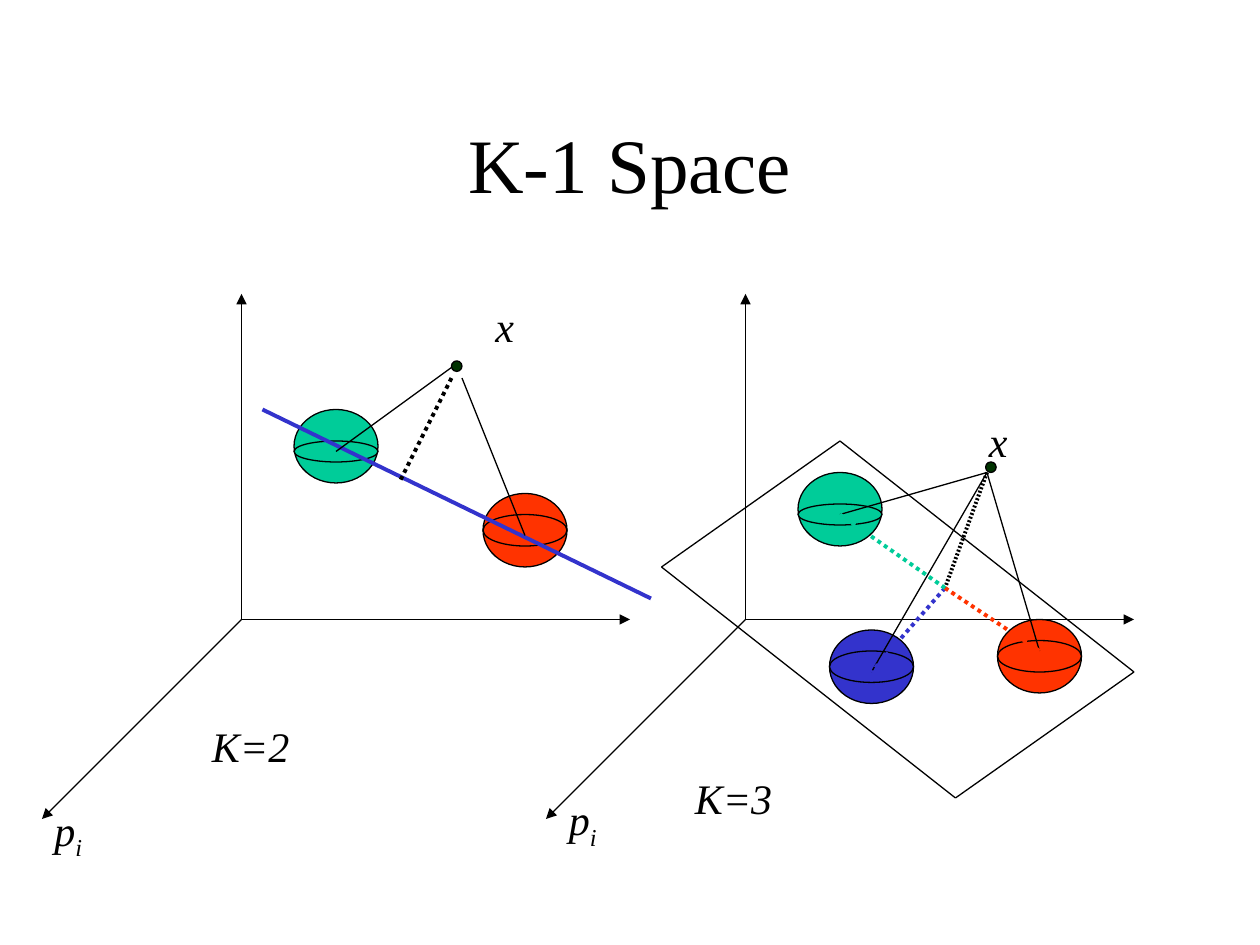
from lxml import etree
from pptx import Presentation
from pptx.dml.color import RGBColor
from pptx.enum.dml import MSO_LINE
from pptx.enum.shapes import MSO_CONNECTOR, MSO_SHAPE
from pptx.enum.text import MSO_ANCHOR, PP_ALIGN
from pptx.oxml.ns import qn
from pptx.util import Emu, Pt

PX = 9525  # 96 px to the inch
OVAL = MSO_SHAPE.OVAL
STRAIGHT = MSO_CONNECTOR.STRAIGHT
DOT = MSO_LINE.ROUND_DOT
BLACK, GREEN, RED, BLUE, DARK = "000000", "00CC99", "FF3300", "3333CC", "003300"

deck = Presentation()
deck.slide_width, deck.slide_height = Emu(960 * PX), Emu(720 * PX)
slide = deck.slides.add_slide(deck.slide_layouts[6])
shapes = slide.shapes


def line(start, end, color=BLACK, width=0.75, dash=None, arrow=False):
    ends = [Emu(v * PX) for v in (*start, *end)]
    item = shapes.add_connector(STRAIGHT, *ends)
    item.line.color.rgb = RGBColor.from_string(color)
    item.line.width = Pt(width)
    if dash:
        item.line.dash_style = dash
    if arrow:
        tail = etree.SubElement(item.line._get_or_add_ln(), qn("a:tailEnd"))
        tail.set("type", "triangle")
    etree.SubElement(item._element.spPr, qn("a:effectLst"))
    return item


def oval(left, top, width, height, color):
    item = shapes.add_shape(OVAL, *[Emu(v * PX) for v in (left, top, width, height)])
    item.shadow.inherit = False
    item.fill.solid()
    item.fill.fore_color.rgb = RGBColor.from_string(color)
    item.line.color.rgb = RGBColor.from_string(BLACK)
    item.line.width = Pt(0.75)


# Axes of both plots
for x in (184, 568):
    for tip in ((x, 224), (x + 296, 472), (x - 152, 624)):
        line((x, 472), tip, arrow=True)

# Plane through the three means
plane = [(640, 336), (864, 512), (728, 608), (504, 432)]
for i, corner in enumerate(plane):
    line(plane[i - 1], corner)

# Spheres: left, top, belt offset, belt height, colour
pair = [(224, 312, 24, 16, GREEN), (368, 376, 16, 24, RED)]
trio = [(608, 360, 24, 16, GREEN), (760, 472, 16, 24, RED), (632, 480, 16, 24, BLUE)]
for left, top, drop, belt, color in pair + trio:
    oval(left, top, 64, 56, color)
    oval(left, top + drop, 64, belt, color)

# K=2: line through the means, and distances from x
line((200, 312), (496, 456), BLUE, 2.25)
oval(344, 275, 8, 8, DARK)
line((344, 288), (304, 368), BLACK, 2.25, DOT)
line((352, 288), (400, 408))
line((344, 280), (256, 344))

# K=3: distances from x, and from its foot on the plane
oval(751, 352, 8, 8, DARK)
point, foot = (752, 360), (720, 448)
means = [((664, 512), BLUE), ((792, 496), RED), ((640, 392), GREEN)]
for mean, color in means:
    line(point, mean)
drop = line(point, foot, width=2.25)
dash = etree.SubElement(drop.line._get_or_add_ln(), qn("a:custDash"))
etree.SubElement(dash, qn("a:ds"), d="50000", sp="50000")
for mean, color in means:
    line(foot, mean, color, 2.25, DOT)

# Title and labels: left, top, width, height, text, subscript
texts = [
    (72, 64, 816, 120, "K-1 Space", ""),
    (368, 224, 88, 48, "x", ""),
    (744, 312, 88, 48, "x", ""),
    (32, 608, 72, 54, "p", "i"),
    (424, 600, 72, 54, "p", "i"),
    (152, 544, 120, 48, "K=2", ""),
    (520, 584, 120, 48, "K=3", ""),
]
for *place, text, sub in texts:
    title = text == "K-1 Space"
    frame = shapes.add_textbox(*[Emu(v * PX) for v in place]).text_frame
    frame.word_wrap = True
    frame.vertical_anchor = MSO_ANCHOR.MIDDLE if title else MSO_ANCHOR.TOP
    para = frame.paragraphs[0]
    para.alignment = PP_ALIGN.CENTER if title else PP_ALIGN.LEFT
    if not title:
        para.space_before = Pt(15)
    look = {"name": "Times New Roman", "size": Pt(44 if title else 24), "italic": not title}
    for part in filter(None, (text, sub)):
        run = para.add_run()
        run.text = part
        for key, value in look.items():
            setattr(run.font, key, value)
        run.font.color.rgb = RGBColor.from_string(BLACK)
    if sub:
        run.font._element.set("baseline", "-25000")

deck.save("out.pptx")
